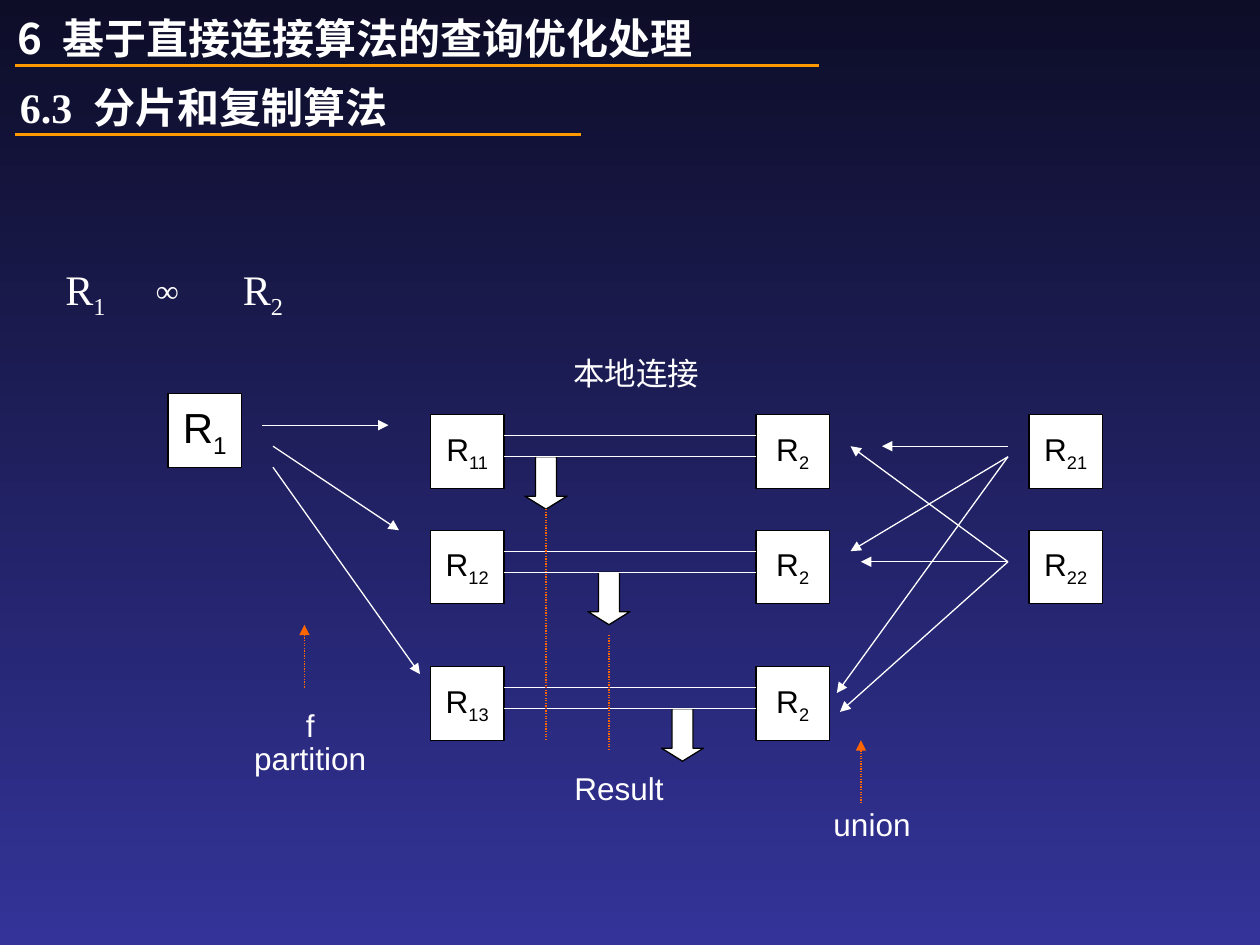
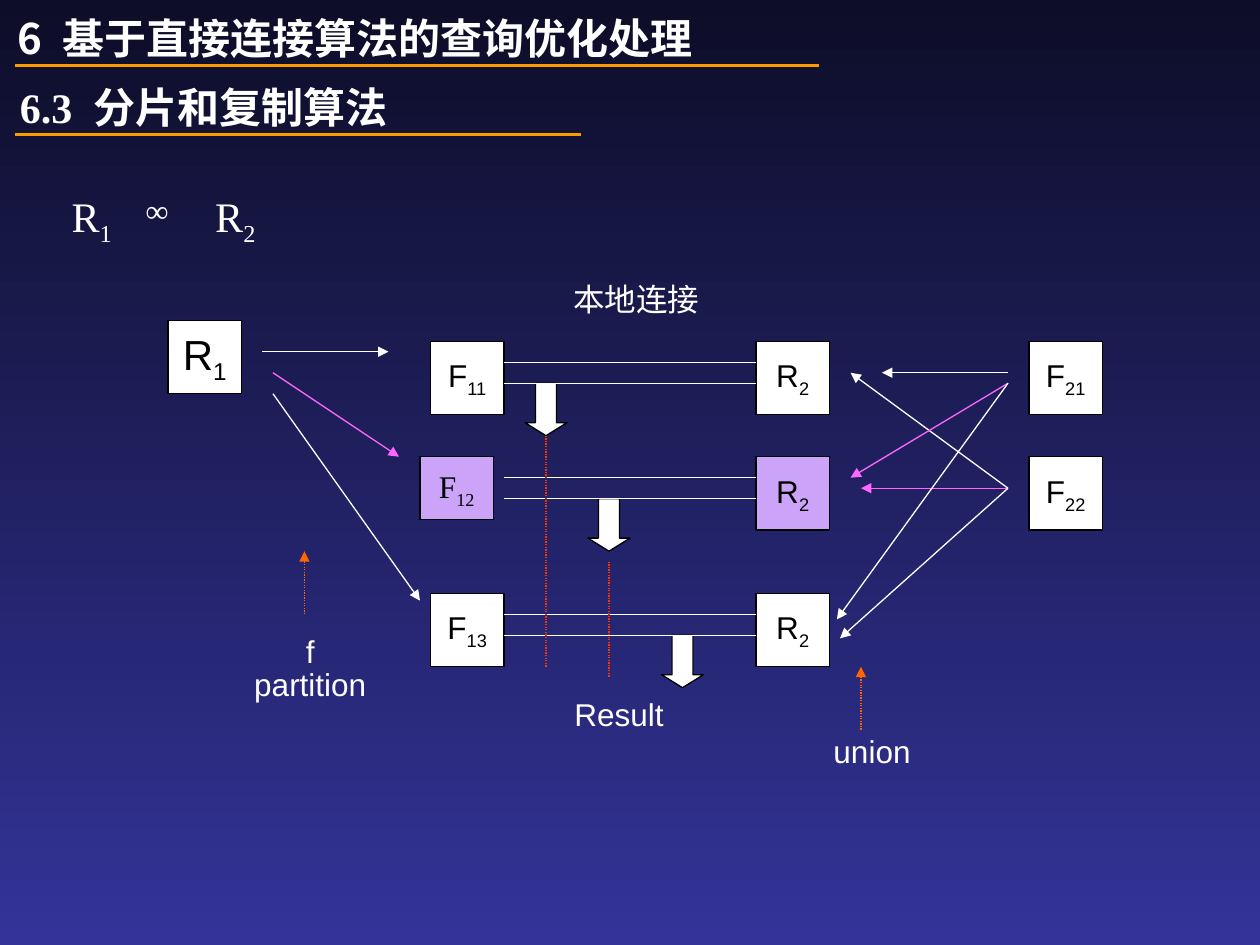
from lxml import etree
from pptx import Presentation
from pptx.dml.color import RGBColor
from pptx.enum.dml import MSO_LINE
from pptx.enum.shapes import MSO_CONNECTOR, MSO_SHAPE
from pptx.enum.text import MSO_ANCHOR, MSO_AUTO_SIZE, PP_ALIGN
from pptx.oxml.ns import qn
from pptx.util import Inches, Pt

STRAIGHT = MSO_CONNECTOR.STRAIGHT
RECTANGLE, DOWN_ARROW = MSO_SHAPE.RECTANGLE, MSO_SHAPE.DOWN_ARROW
TOP, MIDDLE = MSO_ANCHOR.TOP, MSO_ANCHOR.MIDDLE
LEFT, CENTER = PP_ALIGN.LEFT, PP_ALIGN.CENTER
DOTTED = MSO_LINE.ROUND_DOT
NO_AUTOFIT = MSO_AUTO_SIZE.NONE

COLORS = {
    "night": "0D0D28", "blue": "333399", "white": "FFFFFF", "black": "000000",
    "rule": "FF9900", "orange": "FF6600", "red": "FF3300",
    "pink": "FF66FF", "lilac": "CBA4FA",
}
SANS, SERIF, CHINESE = "Arial", "Times New Roman", "Noto Sans CJK SC"

BOX = 7
ROWS = (2, 13, 26)
FRAGMENT_X, COPY_X, SOURCE_X = 25, 56, 82
RESULT_ARROW_X = (34, 40, 47)
ROUTES = (
    ((9, 3), (21, 3), False),
    ((10, 5), (22, 13), True),
    ((10, 7), (24, 26.7), False),
    ((80, 16), (66, 16), True),
    ((80, 16), (65, 5), False),
    ((80, 16), (64, 30.3), False),
    ((80, 5), (68, 5), False),
    ((80, 6), (65, 15), True),
    ((80, 6), (63.7, 28.5), False),
)
CALLOUTS = (((13, 28), (13, 22)), ((66, 39), (66, 33)))
RESULT_LINES = (((36, 11), (36, 33)), ((42, 23), (42, 34)))
LABELS = (
    (("本地连接",), (37.4, -4.4, 14.4, 4.8)),
    (("Result",), (37.5, 35.1, 10.9, 4.8)),
    (("f", "partition"), (7, 29.2, 13.1, 7.3)),
    (("union",), (62.2, 38.6, 9.7, 4.8)),
)


def rgb(name):
    """Return a palette colour."""
    return RGBColor.from_string(COLORS[name])


def grid(count):
    """Return a length in twelfths of an inch."""
    return Inches(count / 12)


def add_run(paragraph, text, size, font=SANS, color="white", bold=False):
    """Append formatted text and return its run properties."""
    run = paragraph.add_run()
    run.text = text
    run.font.size, run.font.name, run.font.bold = Pt(size), font, bold
    run.font.color.rgb = rgb(color)
    properties = run._r.get_or_add_rPr()
    etree.SubElement(properties, qn("a:ea")).set("typeface", CHINESE)
    return properties


def add_symbol(paragraph, letter, index, size, font=SANS, color="white"):
    """Write a relation name with its subscript."""
    add_run(paragraph, letter, size, font, color)
    add_run(paragraph, index, size, font, color).set("baseline", "-25000")


def add_heading(paragraph, number, text, number_font):
    """Write a section number, a wide gap and the section name."""
    paragraph.alignment = LEFT
    add_run(paragraph, number, 24, number_font, bold=True)
    add_run(paragraph, " ", 24, number_font, bold=True).set("spc", "600")
    add_run(paragraph, text, 24, CHINESE, bold=True)


def add_textbox(slide, left, top, width, height, wrap=True):
    """Add a text box and return its text frame."""
    frame = slide.shapes.add_textbox(left, top, width, height).text_frame
    frame.word_wrap = wrap
    return frame


def add_line(slide, start, end, color="white", width=0.75, dotted=False, arrow=False):
    """Draw a straight line, optionally dotted or with an arrowhead."""
    line = slide.shapes.add_connector(STRAIGHT, *start, *end)
    line.line.color.rgb = rgb(color)
    line.line.width = Pt(width)
    if dotted:
        line.line.dash_style = DOTTED
    if arrow:
        outline = line.line._get_or_add_ln()
        etree.SubElement(outline, qn("a:tailEnd")).set("type", "triangle")
    etree.SubElement(line._element.spPr, qn("a:effectLst"))


def add_block(slide, kind, left, top, width, height, fill="white"):
    """Draw a filled shape with a thin black outline."""
    shape = slide.shapes.add_shape(kind, left, top, width, height)
    shape.shadow.inherit = False
    shape.fill.solid()
    shape.fill.fore_color.rgb = rgb(fill)
    shape.line.color.rgb = rgb("black")
    shape.line.width = Pt(0.75)
    return shape


def add_background(master):
    """Fill the master with the vertical gradient."""
    fill = master.background.fill
    fill.gradient()
    fill.gradient_angle = 270
    for stop, color in zip(fill.gradient_stops, ("night", "blue")):
        stop.color.rgb = rgb(color)


def add_header(slide):
    """Place the chapter title, the section heading and their rules."""
    title = slide.shapes.title
    title.left, title.top = Inches(0.04), Inches(0.05)
    title.width, title.height = Inches(6.69), Inches(0.5)
    frame = title.text_frame
    frame.vertical_anchor, frame.auto_size = TOP, NO_AUTOFIT
    add_heading(frame.paragraphs[0], "6", "基于直接连接算法的查询优化处理", CHINESE)
    section = add_textbox(slide, Inches(0.06), Inches(0.6), Inches(5), Inches(0.5))
    add_heading(section.paragraphs[0], "6.3", "分片和复制算法", SERIF)
    for right, y in ((6.5, 0.52), (4.61, 1.07)):
        add_line(slide, (Inches(0.12), Inches(y)), (Inches(right), Inches(y)),
                 "rule", 1.5)


def add_formula(slide, left, top, second_offset, join_offset):
    """Write the join of the two relations."""
    for index, offset in (("1", 0), ("2", second_offset)):
        frame = add_textbox(slide, Inches(left + offset), Inches(top),
                            Inches(0.75), Inches(0.5))
        add_symbol(frame.paragraphs[0], "R", index, 24, SERIF)
    join_left, join_top = join_offset
    frame = add_textbox(slide, Inches(left + join_left), Inches(top + join_top),
                        Inches(0.6), Inches(0.4))
    add_run(frame.paragraphs[0], "∞", 18, SERIF, bold=True)


def add_diagram(slide, left, top, letter, accent="white", accent_fill="white",
                result_color="orange", shifted=False):
    """Draw the fragment and replicate flow from the given corner."""
    def point(x, y):
        """Place a grid point on the slide."""
        return left + grid(x), top + grid(y)

    def node(x, y, name, index, size=18, fill="white", height=BOX, font=SANS):
        """Draw a relation box."""
        shape = add_block(slide, RECTANGLE, *point(x, y), grid(BOX), grid(height), fill)
        frame = shape.text_frame
        frame.word_wrap, frame.vertical_anchor = False, MIDDLE
        frame.paragraphs[0].alignment = CENTER
        add_symbol(frame.paragraphs[0], name, index, size, font, "black")

    node(0, 0, "R", "1", 24)
    for number, (y, arrow_x) in enumerate(zip(ROWS, RESULT_ARROW_X), 1):
        middle = number == 2
        fill = accent_fill if middle else "white"
        if middle and shifted:
            node(FRAGMENT_X - 1, y, letter, "12", fill=fill, height=6, font=SERIF)
        else:
            node(FRAGMENT_X, y, letter, f"1{number}", fill=fill)
        node(COPY_X, y, "R", "2", fill=fill)
        if number < 3:
            node(SOURCE_X, y, letter, f"2{number}")
        arrow = add_block(slide, DOWN_ARROW, *point(arrow_x, y + 4), grid(4), grid(5))
        arrow.adjustments[0], arrow.adjustments[1] = 0.5, 0.31
        for offset in (2, 4):
            add_line(slide, point(FRAGMENT_X + BOX, y + offset),
                     point(COPY_X, y + offset))
    add_line(slide, point(44, 6), point(45, 6))

    for start, end, highlighted in ROUTES:
        add_line(slide, point(*start), point(*end),
                 accent if highlighted else "white", arrow=True)
    for start, end in CALLOUTS:
        add_line(slide, point(*start), point(*end), "orange", dotted=True, arrow=True)
    for start, end in RESULT_LINES:
        add_line(slide, point(*start), point(*end), result_color, dotted=True)

    for lines, (x, y, width, height) in LABELS:
        frame = add_textbox(slide, *point(x, y), grid(width), grid(height), wrap=False)
        frame.vertical_anchor = MIDDLE
        for number, text in enumerate(lines):
            paragraph = frame.add_paragraph() if number else frame.paragraphs[0]
            paragraph.alignment = CENTER
            if number:
                paragraph.line_spacing, paragraph.space_before = 0.2, Pt(12)
            add_run(paragraph, text, 18)


def main():
    """Build both slides and save them."""
    presentation = Presentation()
    presentation.slide_width, presentation.slide_height = Inches(10), Inches(7.5)
    add_background(presentation.slide_master)
    layout = presentation.slide_layouts[5]

    relations = presentation.slides.add_slide(layout)
    add_header(relations)
    add_formula(relations, 0.42, 2.04, 1.41, (0.72, 0.06))
    add_diagram(relations, grid(16), grid(37.5), "R")

    fragments = presentation.slides.add_slide(layout)
    add_header(fragments)
    add_formula(fragments, 0.47, 1.46, 1.14, (0.59, 0.01))
    add_diagram(fragments, grid(16), grid(30.5), "F", "pink", "lilac", "red", True)

    presentation.save("out.pptx")


if __name__ == "__main__":
    main()
